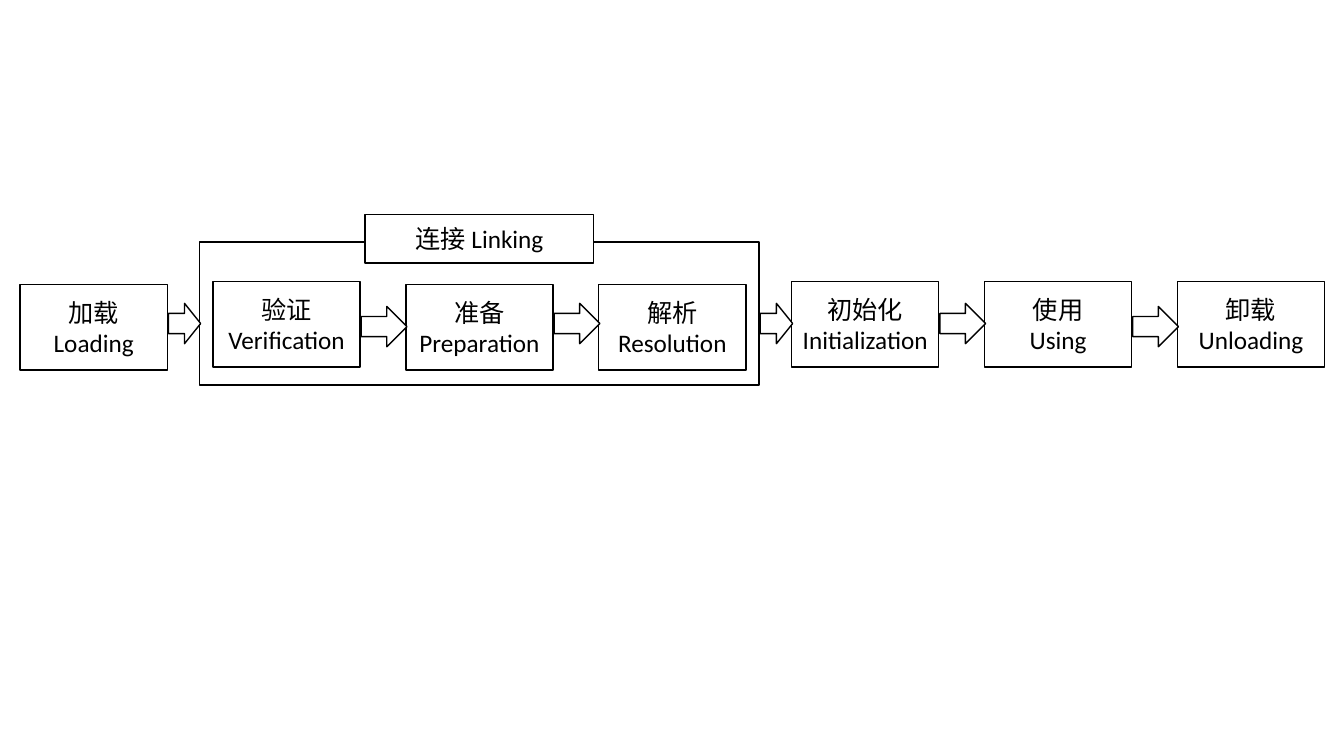
from pptx import Presentation
from pptx.dml.color import RGBColor
from pptx.enum.shapes import MSO_SHAPE
from pptx.enum.text import MSO_ANCHOR, PP_ALIGN
from pptx.util import Inches, Pt

BLACK = RGBColor(0x00, 0x00, 0x00)
WHITE = RGBColor(0xFF, 0xFF, 0xFF)

SLIDE_W, SLIDE_H = 13.33, 7.5
LEFT = 0.2
STAGE_W, STAGE_H = 1.46, 0.85
GAP = 0.453
PITCH = STAGE_W + GAP
STAGE_TOP = 2.79
ARROW_TOP, ARROW_H = 3.01, 0.4
DROP = 0.03  # lowered boxes and arrows sit this far below the row
LINK_LEFT, LINK_TOP, LINK_W, LINK_H = 1.98, 2.4, 5.55, 1.42
LABEL_W, LABEL_H = 2.27, 0.48

# Chinese name, English name, box lowered, following arrow lowered
STAGES = [
    ("加载", "Loading", True, False),
    ("验证", "Verification", False, True),
    ("准备", "Preparation", True, False),
    ("解析", "Resolution", True, False),
    ("初始化", "Initialization", False, False),
    ("使用", "Using", False, True),
    ("卸载", "Unloading", False, False),
]


def stage_left(column):
    return LEFT + column * PITCH


def add_outlined(shapes, kind, x, y, w, h):
    s = shapes.add_shape(kind, Inches(x), Inches(y), Inches(w), Inches(h))
    s.shadow.inherit = False
    s.fill.solid()
    s.fill.fore_color.rgb = WHITE
    s.line.color.rgb = BLACK
    s.line.width = Pt(1)
    return s


def write(s, *lines, size=18, color=BLACK, font="Calibri"):
    tf = s.text_frame
    tf.word_wrap = True
    tf.vertical_anchor = MSO_ANCHOR.MIDDLE
    tf.margin_left = tf.margin_right = Inches(0.05)
    for i, line in enumerate(lines):
        p = tf.paragraphs[0] if i == 0 else tf.add_paragraph()
        p.alignment = PP_ALIGN.CENTER
        r = p.add_run()
        r.text = line
        r.font.name = font
        r.font.size = Pt(size)
        r.font.color.rgb = color


def add_linking_frame(shapes):
    add_outlined(shapes, MSO_SHAPE.RECTANGLE, LINK_LEFT, LINK_TOP, LINK_W, LINK_H)
    label = add_outlined(shapes, MSO_SHAPE.RECTANGLE,
                         LINK_LEFT + (LINK_W - LABEL_W) / 2,
                         LINK_TOP - LABEL_H / 2 - DROP, LABEL_W, LABEL_H)
    write(label, "连接 Linking")


def add_stage(shapes, column, chinese, english, lowered):
    s = add_outlined(shapes, MSO_SHAPE.RECTANGLE, stage_left(column),
                     STAGE_TOP + DROP * lowered, STAGE_W, STAGE_H)
    write(s, chinese, english)


def add_arrow(shapes, column, lowered):
    """Fill the gap after a stage, stopping at the linking frame if it is there."""
    start = stage_left(column) + STAGE_W
    end = stage_left(column + 1)
    link_right = LINK_LEFT + LINK_W
    if start < LINK_LEFT < end:
        end = LINK_LEFT
    elif start < link_right < end:
        start = link_right
    add_outlined(shapes, MSO_SHAPE.RIGHT_ARROW, start + 0.01,
                 ARROW_TOP + DROP * lowered, end - start, ARROW_H)


def main():
    prs = Presentation()
    prs.slide_width, prs.slide_height = Inches(SLIDE_W), Inches(SLIDE_H)
    slide = prs.slides.add_slide(prs.slide_layouts[6])
    shapes = slide.shapes.add_group_shape().shapes
    add_linking_frame(shapes)
    for column, (chinese, english, box_low, _) in enumerate(STAGES):
        add_stage(shapes, column, chinese, english, box_low)
    for column, (_, _, _, arrow_low) in enumerate(STAGES[:-1]):
        add_arrow(shapes, column, arrow_low)
    prs.save("out.pptx")


if __name__ == "__main__":
    main()
